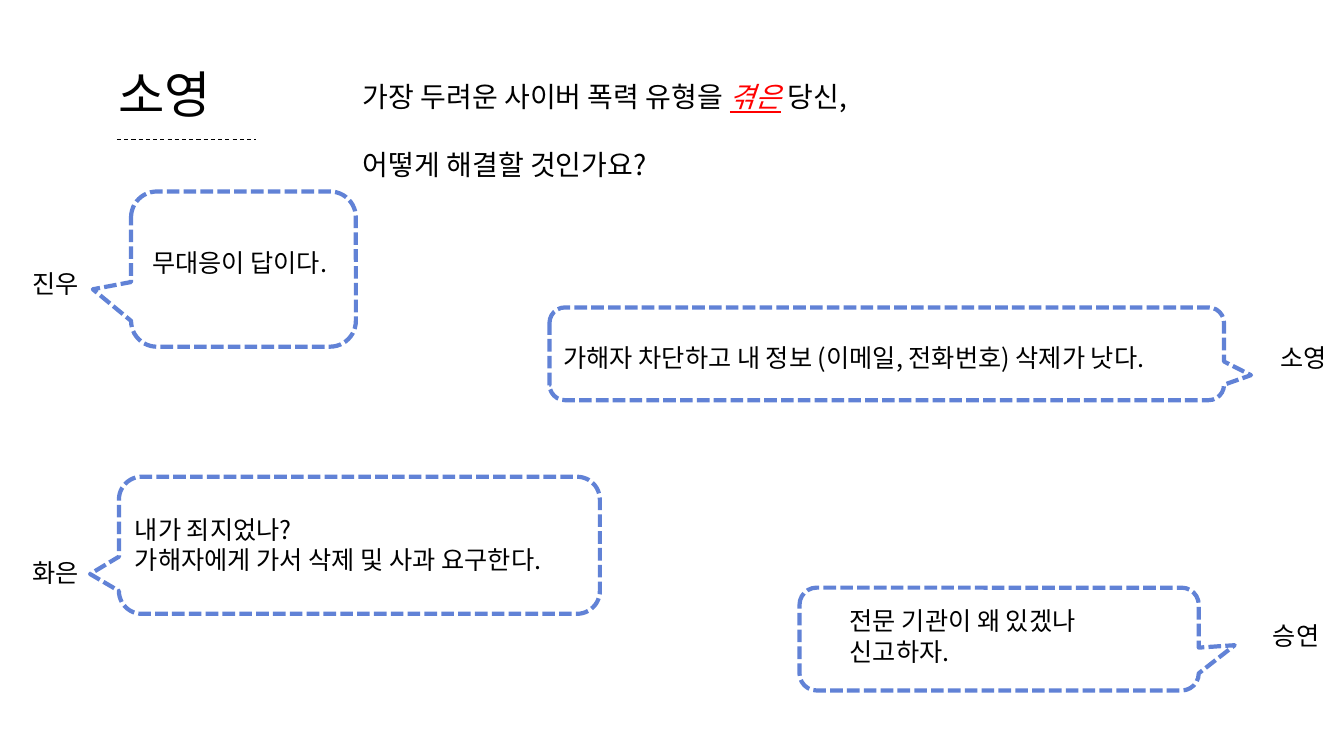
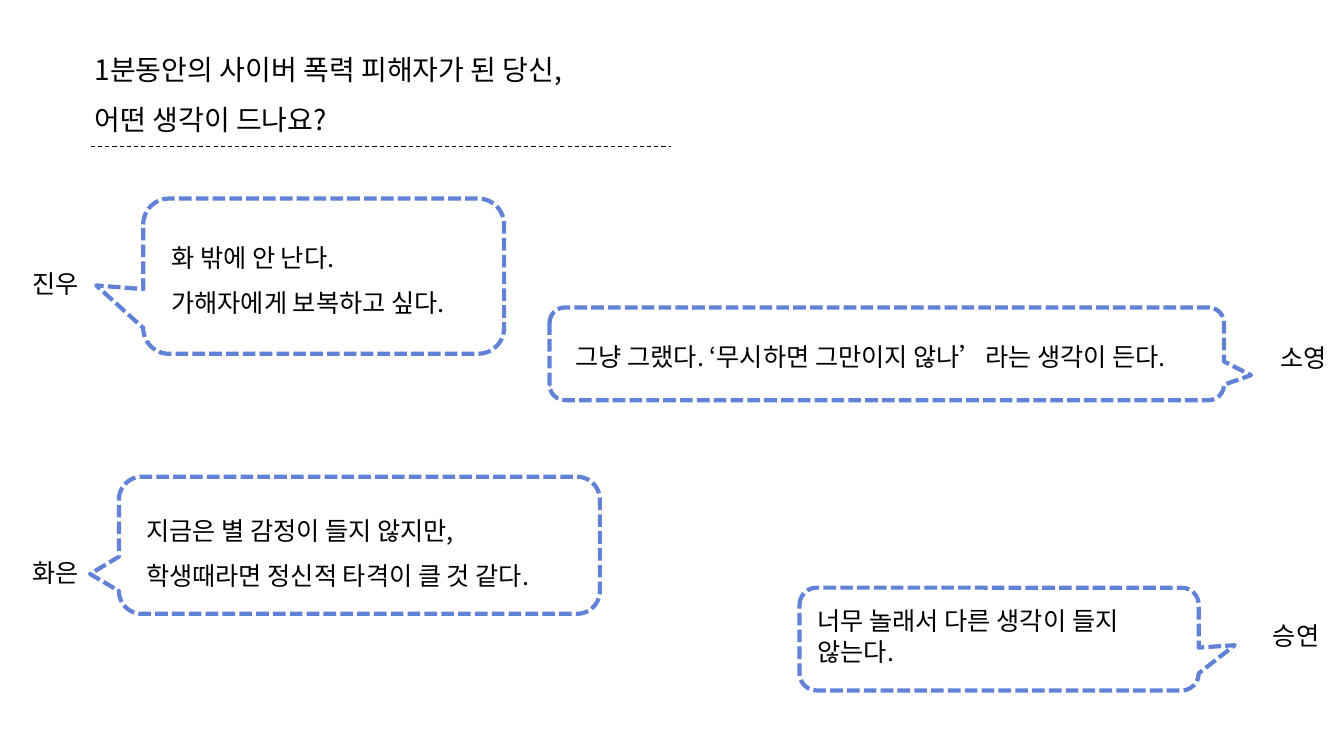
import pptx
import pptx.util
import pptx.dml.color
import pptx.enum.dml
import pptx.enum.shapes
import pptx.enum.text
import pptx.oxml.ns
import lxml.etree

PX = 9144
FONT = "Noto Sans CJK KR"
HUE = {"ink": "000000", "edge": "6182D6", "alert": "FF0000", "page": "FFFFFF"}
DASH = pptx.enum.dml.MSO_LINE
ALIGN = pptx.enum.text.PP_ALIGN

NAMES = [
    ("소영", (1225, 335, 136, 40)),
    ("화은", (0, 548, 111, 40)),
    ("승연", (1179, 611, 213, 40)),
    ("진우", (0, 261, 111, 39)),
]
SHARED = [
    ((118, 473, 477, 136), (-0.56, 0.21)),
    ((545, 305, 669, 92), (0.54, 0.23)),
    ((793, 583, 396, 102), (0.59, 0.06)),
]
SLIDES = [
    {
        "title": ("소영", (57, 58, 213, 71)),
        "ask": (
            [
                ["가장 두려운 사이버 폭력 유형을 ", ("겪은",), " 당신,"],
                ["어떻게 해결할 것인가요?"],
            ],
            (350, 41, 590, 143),
            2.0,
        ),
        "rule": (116, 254, 138),
        "bubble": ((130, 190, 223, 154), (-0.67, 0.13)),
        "says": [
            ([["무대응이 답이다."]], (141, 240, 252, 40), 1.0),
            ([["가해자 차단하고 내 정보 (이메일, 전화번호) 삭제가 낫다."]], (549, 335, 678, 40), 1.0),
            ([["내가 죄지었나?"], ["가해자에게 가서 삭제 및 사과 요구한다."]], (124, 505, 656, 70), 1.0),
            ([["전문 기관이 왜 있겠나"], ["신고하자."]], (833, 596, 289, 70), 1.0),
        ],
    },
    {
        "ask": (
            [["1분동안의 사이버 폭력 피해자가 된 당신,"], ["어떤 생각이 드나요?"]],
            (84, 30, 590, 109),
            1.5,
        ),
        "rule": (90, 666, 145),
        "bubble": ((142, 197, 358, 154), (-0.63, 0.06)),
        "says": [
            ([["화 밖에 안 난다."], ["가해자에게 보복하고 싶다."]], (160, 220, 321, 95), 1.5),
            ([["그냥 그랬다. ‘무시하면 그만이지 않나’라는 생각이 든다."]], (561, 334, 665, 40), 1.0),
            ([["지금은 별 감정이 들지 않지만,"], ["학생때라면 정신적 타격이 클 것 같다."]], (135, 491, 448, 99), 1.5),
            ([["너무 놀래서 다른 생각이 들지 않는다."]], (801, 596, 381, 70), 1.0),
        ],
    },
]


def emu(*nums):
    return [pptx.util.Emu(num * PX) for num in nums]


def tint(name):
    return pptx.dml.color.RGBColor.from_string(HUE[name])


def stroke(line, hue, width, dash):
    line.color.rgb = tint(hue)
    line.width = pptx.util.Pt(width)
    line.dash_style = dash


def write(slide, paras, box, size=18, space=1.0, align=ALIGN.LEFT):
    frame = slide.shapes.add_textbox(*emu(*box)).text_frame
    frame.word_wrap = True
    frame.auto_size = pptx.enum.text.MSO_AUTO_SIZE.SHAPE_TO_FIT_TEXT
    for i, parts in enumerate(paras):
        para = frame.add_paragraph() if i else frame.paragraphs[0]
        para.alignment = align
        para.line_spacing = space
        for part in parts:
            loud = isinstance(part, tuple)
            run = para.add_run()
            run.text = part[0] if loud else part
            font = run.font
            font.size = pptx.util.Pt(size)
            font.color.rgb = tint("alert" if loud else "ink")
            font.name = FONT
            if loud:
                font.italic = font.underline = True
            east = lxml.etree.SubElement(run._r.get_or_add_rPr(), pptx.oxml.ns.qn("a:ea"))
            east.set("typeface", FONT)


def rule(slide, left, right, top):
    kind = pptx.enum.shapes.MSO_CONNECTOR.STRAIGHT
    line = slide.shapes.add_connector(kind, *emu(left, top, right, top))
    stroke(line.line, "ink", 0.75, DASH.DASH)
    lxml.etree.SubElement(line._element.spPr, pptx.oxml.ns.qn("a:effectLst"))


def bubble(slide, box, tail):
    kind = pptx.enum.shapes.MSO_SHAPE.ROUNDED_RECTANGULAR_CALLOUT
    shape = slide.shapes.add_shape(kind, *emu(*box))
    for i, value in enumerate(tail):
        shape.adjustments[i] = value
    shape.shadow.inherit = False
    shape.fill.background()
    stroke(shape.line, "edge", 3, DASH.SQUARE_DOT)


def build(deck, data):
    slide = deck.slides.add_slide(deck.slide_layouts[6])
    slide.background.fill.solid()
    slide.background.fill.fore_color.rgb = tint("page")
    if "title" in data:
        name, box = data["title"]
        write(slide, [[name]], box, size=36, align=ALIGN.CENTER)
    for name, box in NAMES:
        write(slide, [[name]], box, align=ALIGN.CENTER)
    paras, box, space = data["ask"]
    write(slide, paras, box, size=20, space=space)
    rule(slide, *data["rule"])
    for paras, box, space in data["says"]:
        write(slide, paras, box, space=space)
    for box, tail in [data["bubble"], *SHARED]:
        bubble(slide, box, tail)


def main():
    deck = pptx.Presentation()
    deck.slide_width, deck.slide_height = emu(1333, 750)
    for data in SLIDES:
        build(deck, data)
    deck.save("out.pptx")


if __name__ == "__main__":
    main()
